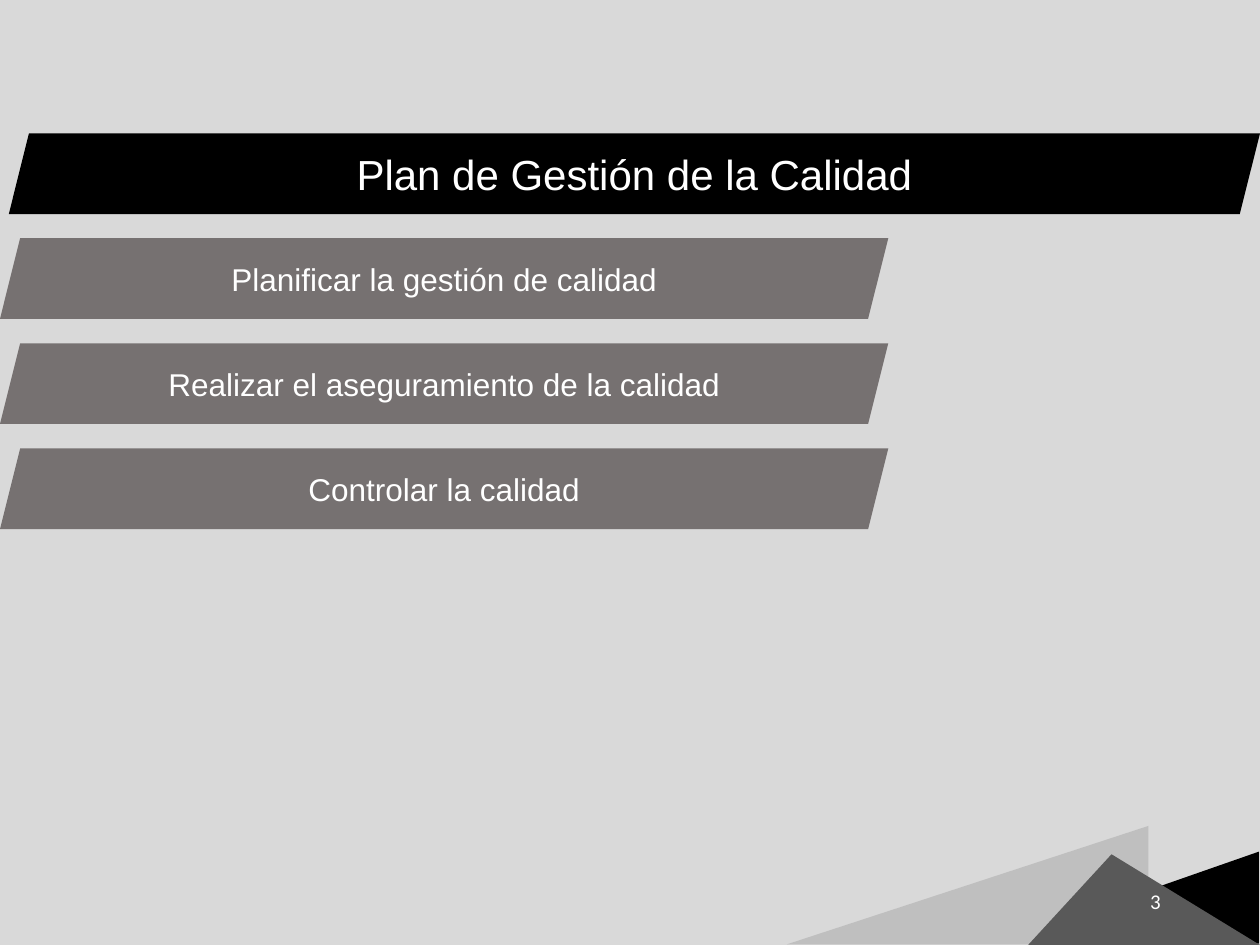
from pptx import Presentation
from pptx import util as u
from pptx.dml import color
from pptx.enum import shapes, text


def rgb(value):
    return color.RGBColor.from_string(value)


def inches(box):
    return [u.Inches(length) for length in box]


def paint(shape, fill):
    shape.shadow.inherit = False
    shape.fill.solid()
    shape.fill.fore_color.rgb = rgb(fill)
    shape.line.fill.background()


def write(shape, words, size, font, alignment):
    frame = shape.text_frame
    frame.word_wrap = True
    frame.vertical_anchor = text.MSO_ANCHOR.MIDDLE
    frame.text = words
    paragraph = frame.paragraphs[0]
    paragraph.alignment = alignment
    run = paragraph.runs[0]
    run.font.size = u.Pt(size)
    run.font.name = font
    run.font.color.rgb = rgb("FFFFFF")


def add_banner(slide, box, words, fill, size):
    banner = slide.shapes.add_shape(shapes.MSO_SHAPE.PARALLELOGRAM, *inches(box))
    paint(banner, fill)
    write(banner, words, size, "Arial", text.PP_ALIGN.CENTER)


def add_process_list(slide, box, processes):
    left, top, width, height = box
    banner_height = 0.64
    pitch = (height - banner_height) / (len(processes) - 1)
    for index, words in enumerate(processes):
        banner_box = (left, top + index * pitch, width, banner_height)
        add_banner(slide, banner_box, words, "767171", 18)


def add_corner(slide, box, number):
    left, top, width, height = box
    triangles = [
        ((1.65, 0.2, 2.09, 0.73), 1, 0, "000000"),
        ((0.96, -0.97, 0.94, 2.87), 0, 270, "BFBFBF"),
        ((width - 1.84, height - 0.72, 1.84, 0.72), 0.36, 0, "595959"),
    ]
    group = slide.shapes.add_group_shape()
    for (x, y, w, h), apex, rotation, fill in triangles:
        triangle = group.shapes.add_shape(
            shapes.MSO_SHAPE.ISOSCELES_TRIANGLE, *inches((left + x, top + y, w, h)))
        triangle.adjustments[0] = apex
        triangle.rotation = rotation
        paint(triangle, fill)
    number_box = slide.shapes.add_textbox(*inches((left + 0.81, top + 0.39, 2.25, 0.4)))
    write(number_box, number, 12, "Calibri", text.PP_ALIGN.RIGHT)


def main():
    presentation = Presentation()
    presentation.slide_width = u.Inches(10)
    presentation.slide_height = u.Inches(7.5)
    slide = presentation.slides.add_slide(presentation.slide_layouts[6])
    slide.background.fill.solid()
    slide.background.fill.fore_color.rgb = rgb("D9D9D9")
    add_corner(slide, (6.25, 6.56, 3.75, 0.94), "3")
    add_banner(slide, (0.07, 1.06, 9.93, 0.64), "Plan de Gestión de la Calidad", "000000", 24)
    add_process_list(slide, (0, 1.89, 7.05, 2.31), [
        "Planificar la gestión de calidad",
        "Realizar el aseguramiento de la calidad",
        "Controlar la calidad",
    ])
    presentation.save("out.pptx")


if __name__ == "__main__":
    main()
